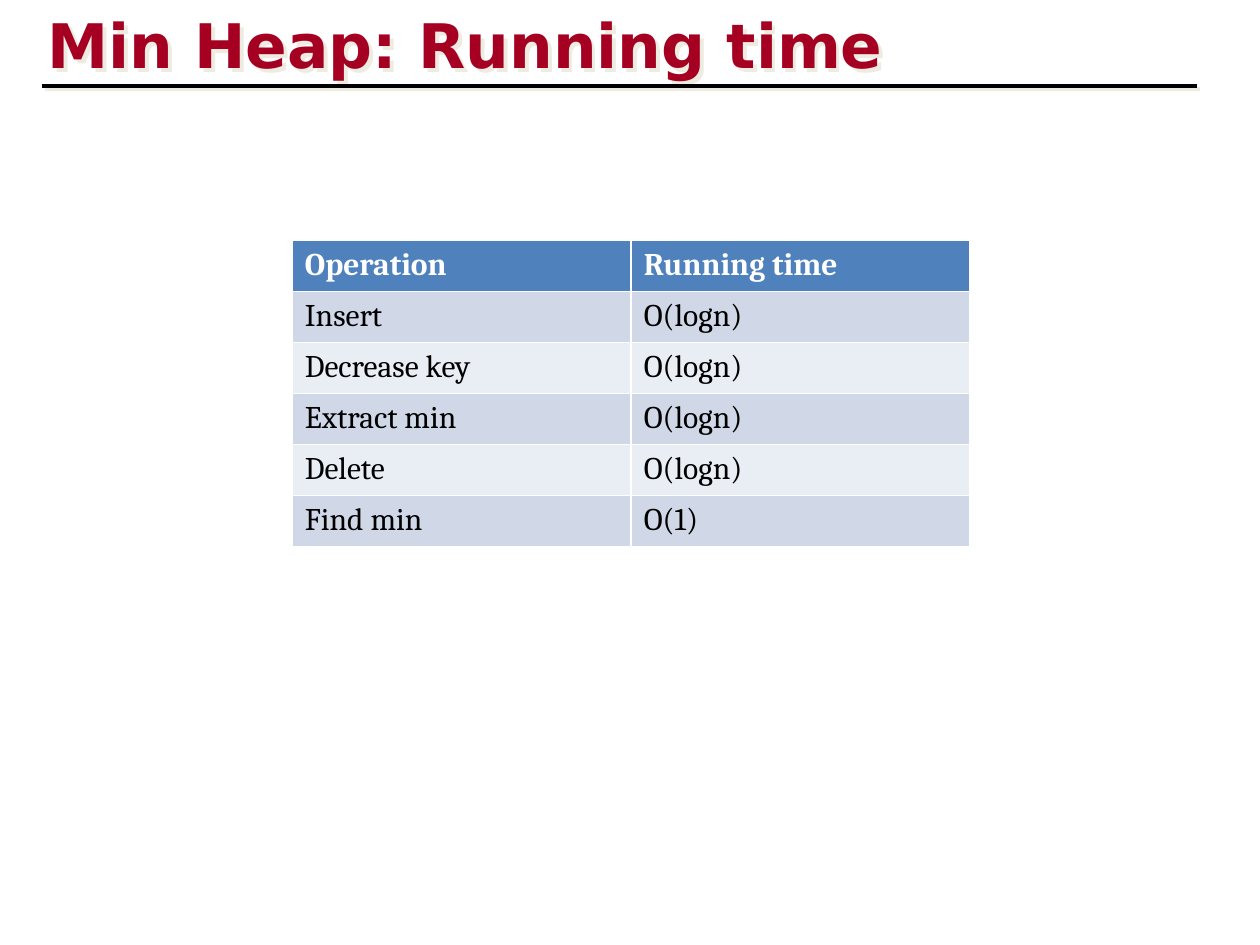
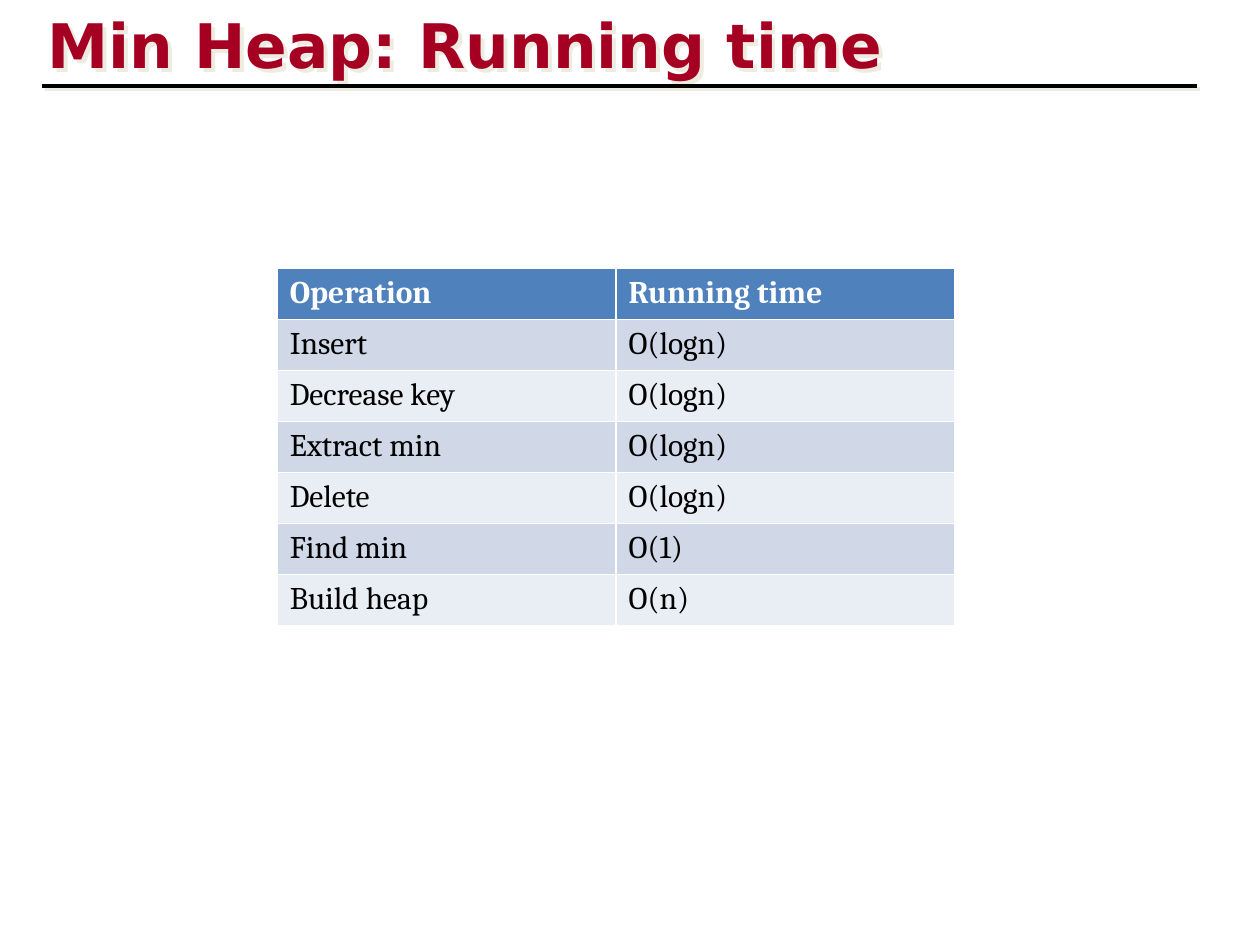
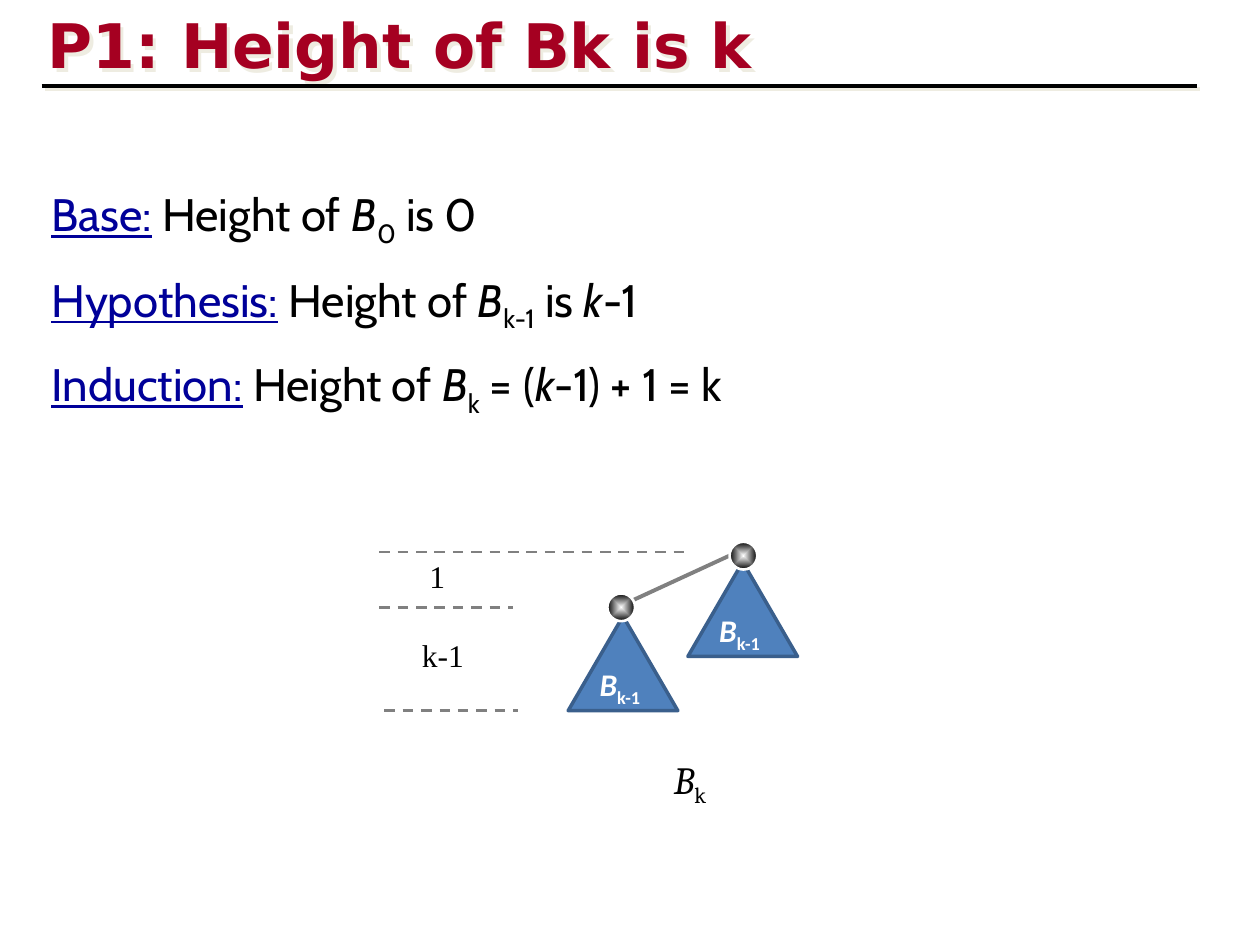
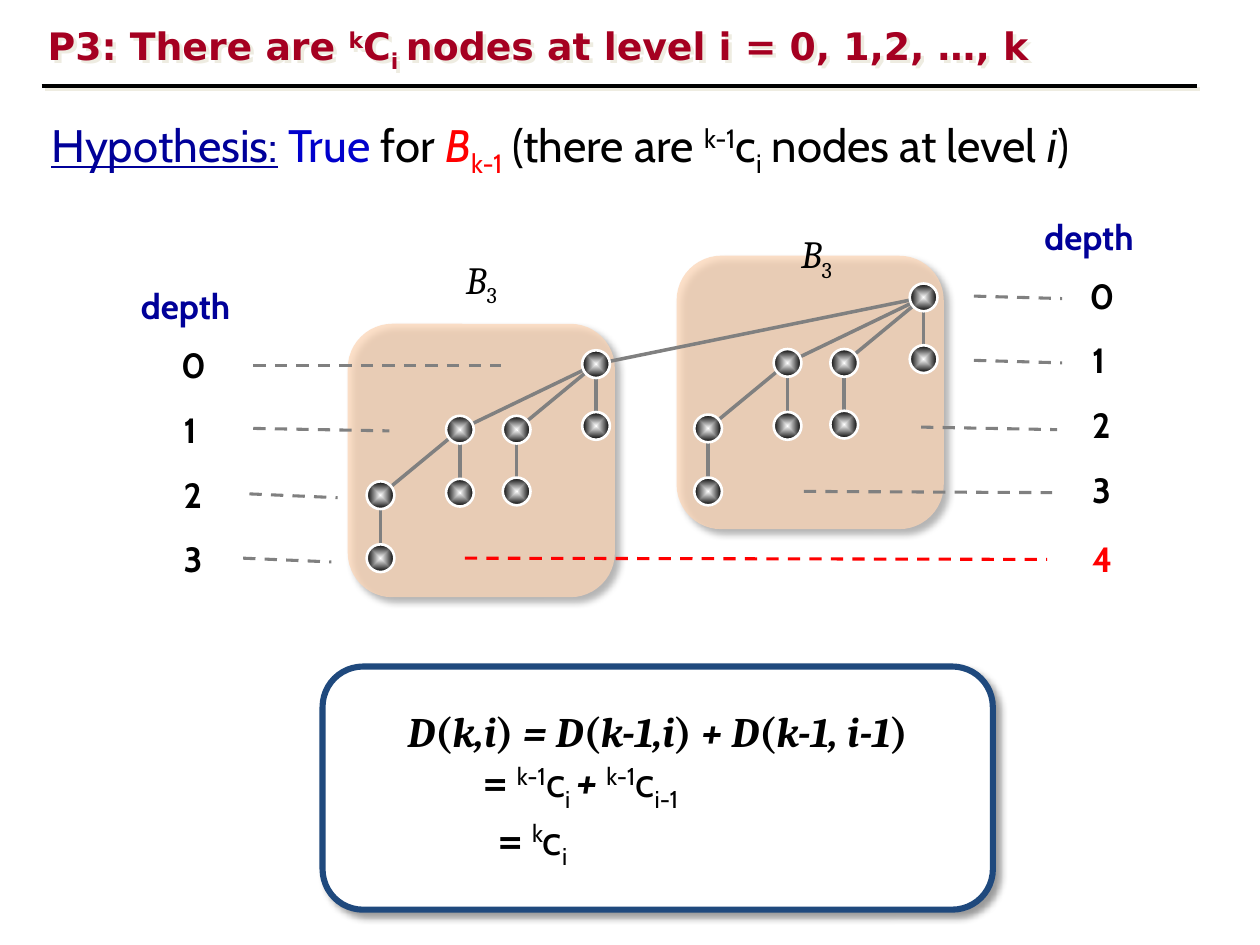
from lxml import etree
from pptx import Presentation
from pptx.dml.color import RGBColor
from pptx.enum.dml import MSO_LINE
from pptx.enum.shapes import MSO_CONNECTOR, MSO_SHAPE
from pptx.enum.text import MSO_ANCHOR, MSO_AUTO_SIZE, PP_ALIGN
from pptx.oxml.ns import qn
from pptx.util import Emu, Pt

STRAIGHT = MSO_CONNECTOR.STRAIGHT
DASH = MSO_LINE.DASH
OVAL, TRIANGLE, ROUNDED = MSO_SHAPE.OVAL, MSO_SHAPE.ISOSCELES_TRIANGLE, MSO_SHAPE.ROUNDED_RECTANGLE
FIT = MSO_AUTO_SIZE.SHAPE_TO_FIT_TEXT
TOP, MIDDLE = MSO_ANCHOR.TOP, MSO_ANCHOR.MIDDLE
LEFT, CENTER = PP_ALIGN.LEFT, PP_ALIGN.CENTER

EMU_PER_PX = 9144  # 100 px to the inch
BLACK, WHITE, GRAY, RED = "000000", "FFFFFF", "808080", "FF0000"
CRIMSON, NAVY, BLUE, DEEP_BLUE = "A50021", "000099", "0000CC", "1F497D"
ACCENT, ACCENT_LINE, PEACH = "4F81BD", "3A5F8C", "FCD5B5"
BANDS = ["D0D8E8", "E9EDF4"]
# colour, opacity %, blur pt, distance pt
CREAM_SHADOW = ("EEECE1", 100, 0, 2.8)
SOFT_SHADOW = (BLACK, 40, 4, 4)
NODE_SIZE = 22

# Run formats
IT, SUB, SUP = {"italic": True}, {"base": -25}, {"base": 30}
LEAD = {"color": NAVY, "underline": True}
BOLD_IT = {"bold": True, "italic": True}
CABIN, CAMBRIA = {"font": "Cabin"}, {"font": "Cambria", "bold": True}
B = ("B", IT)

# Slides 1 and 2
HEAP_TITLE = "Min Heap: Running time"
HEAP_ROWS = [
    ("Operation", "Running time"),
    ("Insert", "O(logn)"),
    ("Decrease key", "O(logn)"),
    ("Extract min", "O(logn)"),
    ("Delete", "O(logn)"),
    ("Find min", "O(1)"),
]
BUILD_ROW = ("Build heap", "O(n)")

# Slide 3
HEIGHT_TITLE = "P1: Height of Bk is k"
PROOF = [
    [("Base:", LEAD), " Height of ", B, ("0", SUB), " is 0"],
    [("Hypothesis:", LEAD), " Height of ", B, ("k-1", SUB), " is ", ("k", IT), "-1"],
    [("Induction:", LEAD), " Height of ", B, ("k", SUB), " = (", ("k", IT), "-1) + 1 = k"],
]
PROOF_TOPS = [143, 211, 278]
SUBTREES = [((590, 441), (546, 446)), ((493, 482), (451, 489))]  # root centre, triangle corner
HEIGHT_MARKS = [(301, 482, 407, 482), (305, 564, 411, 564), (301, 438, 543, 438)]
HEIGHT_LABELS = [("k-1", 325, 500), ("1", 331, 437)]

# Slide 4
LEVEL_TITLE = ["P3: There are ", ("k", SUP), "C", ("i ", SUB), "nodes at level i = 0, 1,2, …, k"]
LEVEL_HYPOTHESIS = [
    ("Hypothesis:", LEAD), " ", ("True", {"color": BLUE}), " for ",
    ("B", {"color": RED, "italic": True}), ("k-1", {"color": RED, **SUB}),
    " (there are ", ("k-1", SUP), "c", ("i", SUB), " nodes at level ", ("i", IT), ")",
]
PANELS = [(537, 203), (276, 257)]
ROOTS = [(473, 289), (733, 236)]
# Node offset from the root, with the index of its parent
TREE = [
    ((0, 0), None), ((0, 49), 0), ((-63, 52), 0), ((-63, 101), 2),
    ((-108, 52), 0), ((-108, 102), 4), ((-171, 104), 4), ((-171, 154), 6),
]
DEPTH_LABELS = [
    ("depth", 819, 166, NAVY), ("0", 855, 213, BLACK), ("1", 857, 264, BLACK),
    ("2", 857, 315, BLACK), ("3", 857, 367, BLACK), ("4", 857, 422, RED),
    ("depth", 102, 221, NAVY), ("0", 134, 268, BLACK), ("1", 136, 319, BLACK),
    ("2", 136, 371, BLACK), ("3", 136, 422, BLACK),
]
DEPTH_MARKS = [
    ((369, 443, 831, 444), RED),
    ((638, 390, 835, 391), GRAY), ((731, 339, 839, 341), GRAY),
    ((773, 286, 843, 288), GRAY), ((773, 235, 843, 237), GRAY),
    ((201, 290, 398, 290), GRAY), ((201, 340, 309, 342), GRAY),
    ((198, 392, 268, 395), GRAY), ((193, 443, 263, 446), GRAY),
]
TREE_NAMES = [(360, 198), (626, 178)]
FORMULA = [
    [("D", IT), "(", ("k,i", IT), ")", (" = D", IT), "(", ("k-1,i", IT), ")",
     (" + D", IT), "(", ("k-1, i-1", IT), ")"],
    [("= ", CAMBRIA), ("k-1", {**CABIN, **SUP}), ("c", CABIN), ("i ", {**CABIN, **SUB}),
     ("+ ", BOLD_IT), ("k-1", {**CABIN, **SUP}), ("c", CABIN), ("i-1", {**CABIN, **SUB})],
    [("= ", CAMBRIA), ("k", {**CABIN, **SUP}), ("c", CABIN), ("i", {**CABIN, **SUB})],
]
FORMULA_LAYOUT = [(CENTER, 0, True), (LEFT, 108, False), (LEFT, 120, False)]  # align, indent, bold


def px(*values):
    return [Emu(v * EMU_PER_PX) for v in values]


def rgb(color):
    return RGBColor.from_string(color)


def set_shadow(shape, shadow=None):
    """Give the shape its own effect list, so that the theme's shadow is not used."""
    effects = etree.SubElement(shape._element.spPr, qn("a:effectLst"))
    if shadow:
        color, opacity, blur, distance = shadow
        outer = etree.SubElement(effects, qn("a:outerShdw"), blurRad=str(Pt(blur)),
                                 dist=str(Pt(distance)), dir=str(45 * 60000),
                                 algn="tl", rotWithShape="0")
        clr = etree.SubElement(outer, qn("a:srgbClr"), val=color)
        etree.SubElement(clr, qn("a:alpha"), val=str(opacity * 1000))


def write(p, runs, *, font, size, color=BLACK, bold=False, align=LEFT, indent=0):
    """Fill a paragraph; a run is a string or a (string, format overrides) pair."""
    p.alignment = align
    if indent:
        p._p.get_or_add_pPr().set("marL", str(px(indent)[0]))
    for run in [runs] if isinstance(runs, str) else runs:
        content, own = (run, {}) if isinstance(run, str) else run
        r = p.add_run()
        r.text = content
        r.font.name = own.get("font", font)
        r.font.size = Pt(size)
        r.font.color.rgb = rgb(own.get("color", color))
        r.font.bold = own.get("bold", bold)
        r.font.italic = own.get("italic", False)
        r.font.underline = own.get("underline", False)
        if "base" in own:
            r._r.get_or_add_rPr().set("baseline", str(own["base"] * 1000))


def add_text(s, box, runs, shadow=None, grow=True, **fmt):
    tb = s.shapes.add_textbox(*px(*box))
    tf = tb.text_frame
    tf.word_wrap = True
    tf.vertical_anchor = TOP
    if grow:
        tf.auto_size = FIT
    write(tf.paragraphs[0], runs, **fmt)
    if shadow:
        set_shadow(tb, shadow)


def add_line(s, ends, color=GRAY, width=2, dash=None, shadow=None):
    line = s.shapes.add_connector(STRAIGHT, *px(*ends))
    line.line.color.rgb = rgb(color)
    line.line.width = Pt(width)
    if dash:
        line.line.dash_style = dash
    set_shadow(line, shadow)


def add_shape(s, kind, box, fill, line=None, width=1, opacity=100, shadow=None):
    sp = s.shapes.add_shape(kind, *px(*box))
    sp.fill.solid()
    sp.fill.fore_color.rgb = rgb(fill)
    if opacity < 100:
        clr = sp._element.spPr.find(qn("a:solidFill")).find(qn("a:srgbClr"))
        etree.SubElement(clr, qn("a:alpha"), val=str(opacity * 1000))
    if line:
        sp.line.color.rgb = rgb(line)
        sp.line.width = Pt(width)
    else:
        sp.line.fill.background()
    set_shadow(sp, shadow)
    return sp


def add_node(s, center):
    """Draw a tree node as a ball shaded from a white middle to a black rim."""
    x, y = (c - NODE_SIZE // 2 for c in center)
    node = add_shape(s, OVAL, (x, y, NODE_SIZE, NODE_SIZE), BLACK, WHITE, 1.5)
    node.fill.gradient()
    for stop, color in zip(node.fill.gradient_stops, (WHITE, BLACK)):
        stop.color.rgb = rgb(color)
    grad = node._element.spPr.find(qn("a:gradFill"))
    grad.remove(grad.find(qn("a:lin")))
    shade = etree.SubElement(grad, qn("a:path"), {"path": "shape"})
    etree.SubElement(shade, qn("a:fillToRect"), l="50000", t="50000", r="50000", b="50000")


def add_title(s, runs, top=1, size=35.1):
    add_text(s, (28, top, 850, 67), runs, shadow=CREAM_SHADOW, grow=False,
             font="DejaVu Sans", size=size, color=CRIMSON, bold=True)
    add_line(s, (33, 68, 950, 68), BLACK, 2.25, shadow=CREAM_SHADOW)


def add_tree(s, root):
    centers = [(root[0] + dx, root[1] + dy) for (dx, dy), _ in TREE]
    for center, (_, parent) in zip(centers, TREE):
        if parent is not None:
            add_line(s, (*center, *centers[parent]))
    for center in centers:
        add_node(s, center)


def heap_slide(s, rows, left, top):
    add_title(s, HEAP_TITLE)
    col_width, row_height = 269, 40.5
    table = s.shapes.add_table(len(rows), 2, *px(left, top, 2 * col_width,
                                                 int(row_height * len(rows)))).table
    for i, row in enumerate(rows):
        table.rows[i].height = Emu(int(row_height * EMU_PER_PX))
        for cell, content in zip(table.rows[i].cells, row):
            header = i == 0
            cell.fill.solid()
            cell.fill.fore_color.rgb = rgb(ACCENT if header else BANDS[(i - 1) % 2])
            write(cell.text_frame.paragraphs[0], content, font="Cambria", size=18,
                  color=WHITE if header else BLACK, bold=header)


def height_slide(s):
    add_title(s, HEIGHT_TITLE)
    for top, runs in zip(PROOF_TOPS, PROOF):
        add_text(s, (31, top, 831, 54), runs, font="Cabin", size=26)
    add_line(s, (501, 477, 579, 441), width=2.25)
    for _, (x, y) in SUBTREES:
        add_shape(s, TRIANGLE, (x, y, 87, 75), ACCENT, ACCENT_LINE, 2)
        add_text(s, (x + 15, y + 34, 69, 40), [B, ("k-1", SUB)],
                 font="Calibri", size=18, color=WHITE, bold=True)
    for center, _ in SUBTREES:
        add_node(s, center)
    add_text(s, (525, 595, 57, 47), [B, ("k", SUB)], font="Cambria", size=22)
    for ends in HEIGHT_MARKS:
        add_line(s, ends, width=1.5, dash=DASH)
    for label, x, y in HEIGHT_LABELS:
        add_text(s, (x, y, 71, 40), label, font="Times New Roman", size=18)


def level_slide(s):
    for x, y in PANELS:
        add_shape(s, ROUNDED, (x, y, 212, 217), PEACH, opacity=73, shadow=SOFT_SHADOW)
    add_title(s, LEVEL_TITLE, top=13, size=21.6)
    add_text(s, (31, 88, 831, 98), LEVEL_HYPOTHESIS, font="Cabin", size=26)
    add_line(s, (*ROOTS[0], *ROOTS[1]))
    for root in ROOTS:
        add_tree(s, root)
    for label, x, y, color in DEPTH_LABELS:
        width = 107 if label == "depth" else 57
        add_text(s, (x, y, width, 44), label, font="Cabin", size=20, color=color, bold=True)
    for ends, color in DEPTH_MARKS:
        add_line(s, ends, color, 1.75, DASH)
    for x, y in TREE_NAMES:
        add_text(s, (x, y, 57, 47), [B, ("3", SUB)], font="Cambria", size=22)
    box = add_shape(s, ROUNDED, (256, 529, 532, 193), WHITE, DEEP_BLUE, 3.5, shadow=SOFT_SHADOW)
    tf = box.text_frame
    tf.word_wrap = True
    tf.vertical_anchor = MIDDLE
    for i, (runs, (align, indent, bold)) in enumerate(zip(FORMULA, FORMULA_LAYOUT)):
        p = tf.add_paragraph() if i else tf.paragraphs[0]
        write(p, runs, font="Cambria", size=24, bold=bold, align=align, indent=indent)


def main():
    prs = Presentation()
    prs.slide_width, prs.slide_height = px(1000, 750)
    blank = prs.slide_layouts[6]
    heap_slide(prs.slides.add_slide(blank), HEAP_ROWS, 232, 191)
    heap_slide(prs.slides.add_slide(blank), HEAP_ROWS + [BUILD_ROW], 220, 213)
    height_slide(prs.slides.add_slide(blank))
    level_slide(prs.slides.add_slide(blank))
    prs.save("out.pptx")


if __name__ == "__main__":
    main()
